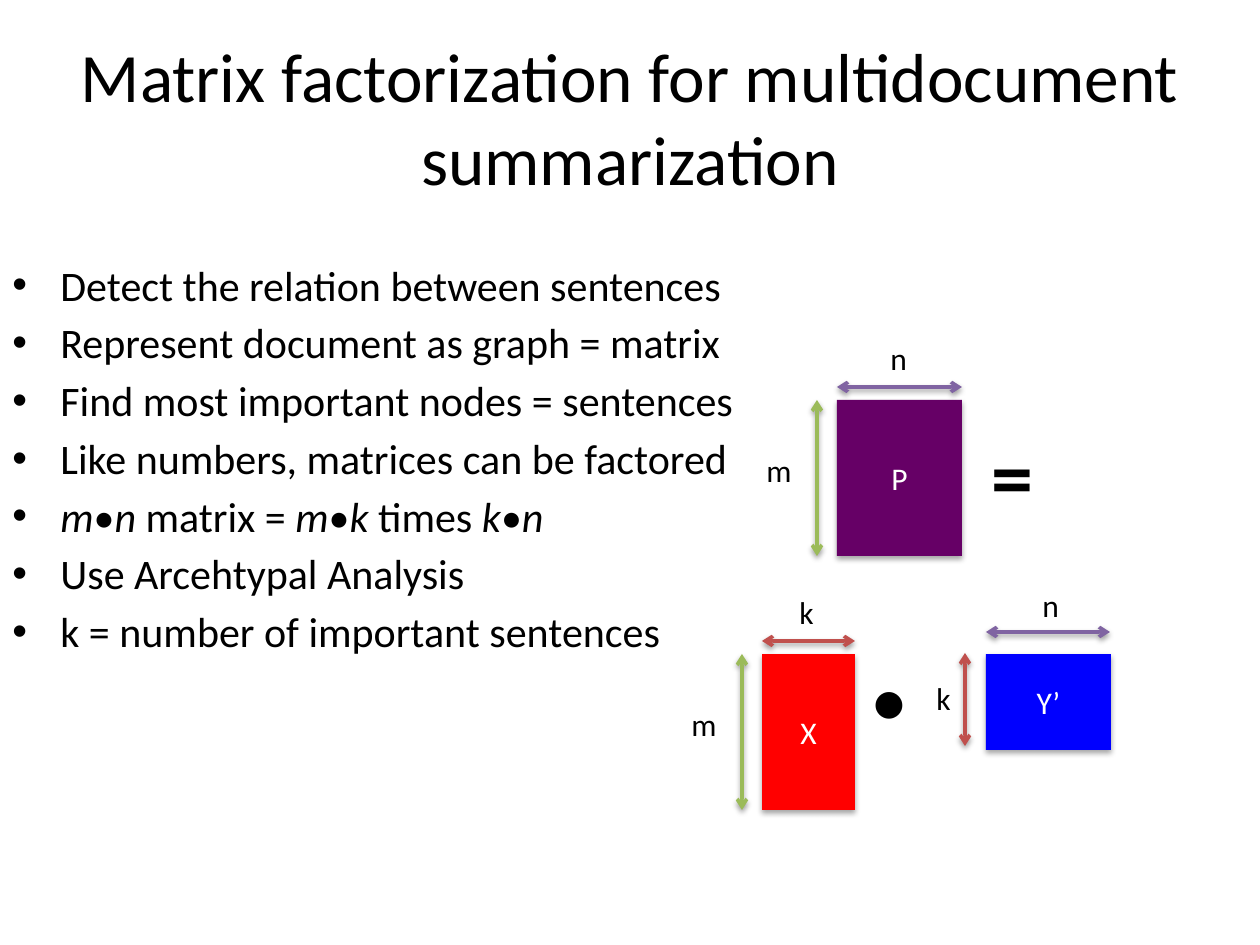
import pptx
import pptx.util
import pptx.dml.color
import pptx.enum.shapes
import pptx.enum.text
import pptx.oxml
import pptx.oxml.ns
from lxml import etree

SCALE = 914400 / 126
FONT = "Calibri"
GREEN, PURPLE, RED = "9BBB59", "8064A2", "C0504D"
ALIGN = pptx.enum.text.PP_ALIGN
ANCHOR = pptx.enum.text.MSO_ANCHOR
POINTS = [
    "Detect the relation between sentences",
    "Represent document as graph = matrix",
    "Find most important nodes = sentences",
    "Like numbers, matrices can be factored",
    "_m_•_n_ matrix = _m_•_k_ times _k_•_n_",
    "Use Arcehtypal Analysis",
    "k = number of important sentences",
]


def px(n):
    return pptx.util.Emu(round(n * SCALE))


def color(code):
    return pptx.dml.color.RGBColor.from_string(code)


def child(node, tag, **attrs):
    item = etree.SubElement(node, pptx.oxml.ns.qn(tag))
    for key, value in attrs.items():
        item.set(key, str(value))
    return item


def shade(shape, dist, alpha):
    effects = child(shape._element.spPr, "a:effectLst")
    outer = child(effects, "a:outerShdw", blurRad=40000, dist=dist,
                  dir=5400000, rotWithShape=0)
    child(child(outer, "a:srgbClr", val="000000"), "a:alpha", val=alpha * 1000)


def bullet(para):
    props = para._p.get_or_add_pPr()
    props.set("marL", str(px(48)))
    props.set("indent", str(-px(48)))
    child(props, "a:buFont", typeface="Arial")
    child(props, "a:buChar", char="•")


def write(frame, lines, size=18, ink="000000", bold=False, align=ALIGN.LEFT,
          anchor=ANCHOR.TOP, wrap=True, dots=False, gap=0):
    frame.word_wrap = wrap
    frame.vertical_anchor = anchor
    for i, line in enumerate(lines):
        para = frame.add_paragraph() if i else frame.paragraphs[0]
        para.alignment = align
        para.space_before = pptx.util.Pt(gap)
        if dots:
            bullet(para)
        for j, part in enumerate(line.split("_")):
            if part:
                run = para.add_run()
                run.text = part
                font = run.font
                font.name, font.size = FONT, pptx.util.Pt(size)
                font.bold, font.italic = bold, j % 2 == 1
                font.color.rgb = color(ink)


def text(slide, box, lines, **style):
    shape = slide.shapes.add_textbox(*map(px, box))
    write(shape.text_frame, lines, **style)


def label(slide, x, y, w, h, word, **style):
    text(slide, (x, y, w, h), [word], wrap=False, **style)


def block(slide, x, y, w, h, word, fill):
    kind = pptx.enum.shapes.MSO_SHAPE.RECTANGLE
    shape = slide.shapes.add_shape(kind, *map(px, (x, y, w, h)))
    shape.fill.solid()
    shape.fill.fore_color.rgb = color(fill)
    shape.line.fill.background()
    shade(shape, 23000, 35)
    write(shape.text_frame, [word], ink="FFFFFF", align=ALIGN.CENTER,
          anchor=ANCHOR.MIDDLE)


def arrow(slide, x1, y1, x2, y2, ink):
    kind = pptx.enum.shapes.MSO_CONNECTOR.STRAIGHT
    line = slide.shapes.add_connector(kind, *map(px, (x1, y1, x2, y2)))
    line.line.color.rgb = color(ink)
    line.line.width = pptx.util.Pt(2)
    edge = line.line._get_or_add_ln()
    for end in ("a:headEnd", "a:tailEnd"):
        child(edge, end, type="arrow")
    shade(line, 20000, 38)


def tall(slide, x, y, w, wide, ink, name, fill):
    block(slide, x, y, w, 156, name, fill)
    arrow(slide, x - 20, y, x - 20, y + 156, GREEN)
    arrow(slide, x, y - 13, x + w, y - 13, ink)
    label(slide, x - 83, y + 45, 55, 50, "m")
    label(slide, x + w // 2 - 21, y - 67, 44, 50, wide)


def main():
    deck = pptx.Presentation()
    deck.slide_width, deck.slide_height = px(1260), px(945)
    slide = deck.slides.add_slide(deck.slide_layouts[6])
    text(slide, (63, 38, 1134, 157),
         ["Matrix factorization for multidocument summarization"],
         size=39.6, align=ALIGN.CENTER, anchor=ANCHOR.MIDDLE)
    text(slide, (0, 253, 762, 624), POINTS, size=24, dots=True, gap=4.2)

    tall(slide, 837, 400, 125, "n", PURPLE, "P", "660066")
    label(slide, 979, 417, 77, 115, "=", size=48, bold=True)

    tall(slide, 762, 654, 93, "k", RED, "X", "FF0000")
    label(slide, 861, 654, 63, 89, "•", size=36, bold=True)

    block(slide, 986, 654, 125, 96, "Y’", "0000FF")
    arrow(slide, 965, 746, 965, 653, RED)
    arrow(slide, 986, 632, 1110, 632, PURPLE)
    label(slide, 924, 673, 42, 50, "k")
    label(slide, 1030, 580, 45, 50, "n")
    deck.save("out.pptx")


if __name__ == "__main__":
    main()
